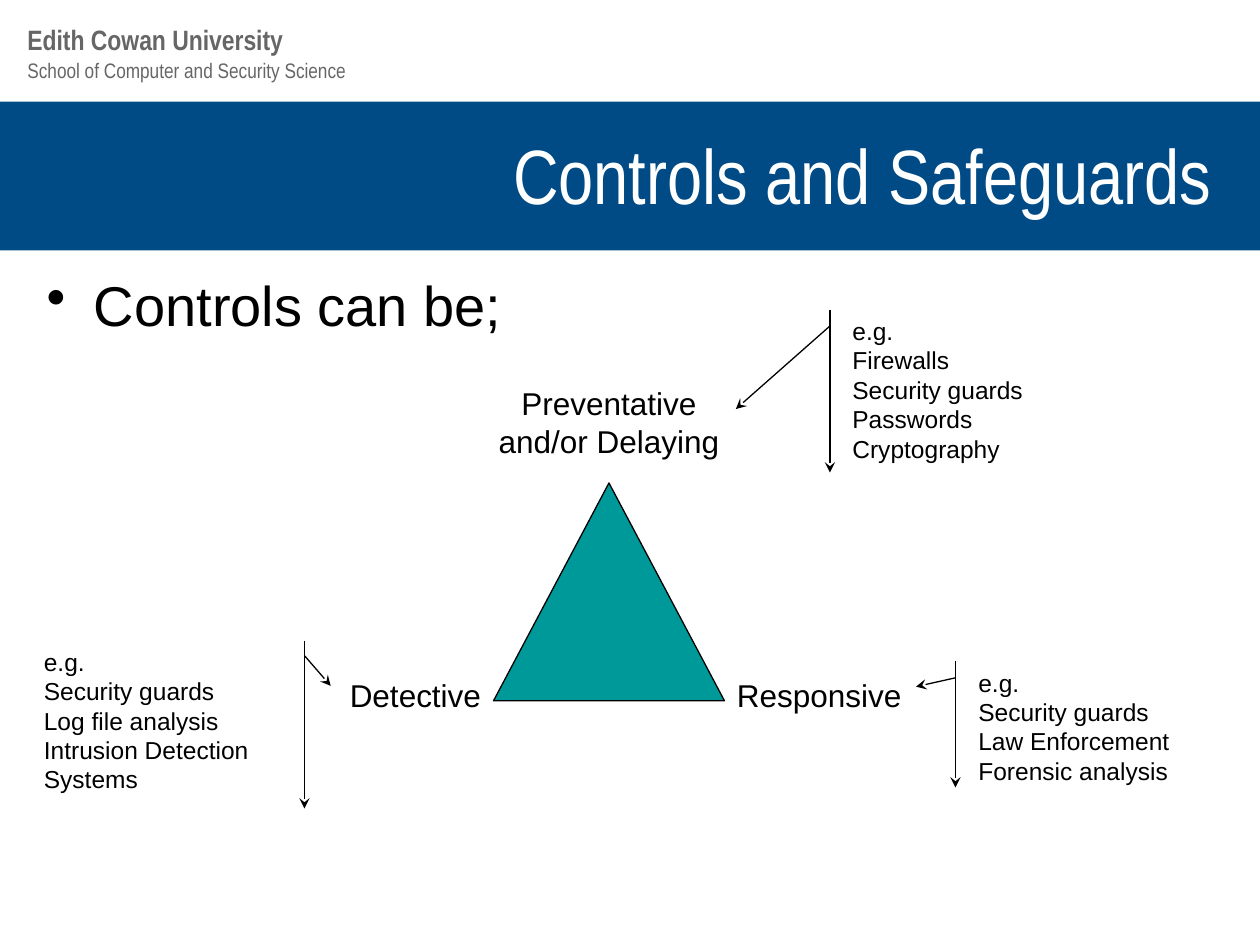
"""Build the Controls and Safeguards slide."""
from lxml.etree import SubElement
from pptx import Presentation
from pptx.dml.color import RGBColor
from pptx.enum.shapes import MSO_SHAPE
from pptx.enum.text import MSO_ANCHOR, MSO_AUTO_SIZE, PP_ALIGN
from pptx.oxml.ns import qn
from pptx.util import Pt

BLACK = RGBColor(0x00, 0x00, 0x00)
WHITE = RGBColor(0xFF, 0xFF, 0xFF)
GREY = RGBColor(0x66, 0x66, 0x66)
NAVY = RGBColor(0x00, 0x4B, 0x85)
TEAL = RGBColor(0x00, 0x99, 0x99)

TITLE = "Controls and Safeguards"
TITLE_BOX = (19.5, 59.8, 680.4, 78.5)
BAND_BOX = (0, 58.1, 720, 85)
TRIANGLE_BOX = (282, 276, 132, 124.5)

NARROW = {"name": "Arial Narrow", "color": GREY, "bold": False}
TITLE_FONT = {**NARROW, "size": Pt(44), "color": WHITE}
UNIT_FONT = {**NARROW, "size": Pt(12)}
UNIVERSITY_FONT = {**NARROW, "size": Pt(16), "bold": True}
LEAD_FONT = {"name": "Arial", "size": Pt(32), "color": BLACK}
LABEL_FONT = {**LEAD_FONT, "size": Pt(18)}
EXAMPLE_FONT = {**LEAD_FONT, "size": Pt(14)}

HEADERS = [
    ("School of Computer and Security Science", (8.6, 29.5, 424, 21.8), UNIT_FONT),
    ("Edith Cowan University", (8.6, 9.4, 424, 26.6), UNIVERSITY_FONT),
]
LEAD = "Controls can be;"
LEAD_BOX = (19.5, 151.2, 680.4, 47.5)
LABELS = [
    ("Preventative and/or Delaying", (276, 216, 144, 50.4), PP_ALIGN.CENTER),
    ("Responsive", (414, 372, 120, 50.4), PP_ALIGN.LEFT),
    ("Detective", (192, 372, 90, 50.4), PP_ALIGN.RIGHT),
]
EXAMPLES = [
    (["Firewalls", "Security guards", "Passwords", "Cryptography"],
     (480, 177, 192, 93), (0.1, -0.03, 0.61, -0.31)),
    (["Security guards", "Log file analysis", "Intrusion Detection Systems"],
     (18, 366, 150, 96), (0.09, 1.04, 0.27, 1.14)),
    (["Security guards", "Law Enforcement", "Forensic analysis"],
     (552, 378, 150, 72), (0.13, -0.04, 0.2, -0.19)),
]


def points(box):
    return [Pt(length) for length in box]


def write(shape, lines, style, align=PP_ALIGN.LEFT, anchor=MSO_ANCHOR.TOP, bullet=None):
    frame = shape.text_frame
    frame.word_wrap = True
    frame.auto_size = MSO_AUTO_SIZE.NONE
    frame.vertical_anchor = anchor
    frame.text = "\n".join(lines)
    for paragraph in frame.paragraphs:
        paragraph.alignment = align
        if bullet:
            properties = paragraph._p.get_or_add_pPr()
            properties.set("marL", str(Pt(27)))
            properties.set("indent", str(-Pt(27)))
            SubElement(properties, qn("a:buChar")).set("char", bullet)
        for run in paragraph.runs:
            for key, value in style.items():
                if key == "color":
                    run.font.color.rgb = value
                else:
                    setattr(run.font, key, value)


def add_figure(shapes, preset, box, fill=None, line=None):
    figure = shapes.add_shape(preset, *points(box))
    figure.shadow.inherit = False
    if fill is None:
        figure.fill.background()
    else:
        figure.fill.solid()
        figure.fill.fore_color.rgb = fill
    if line is None:
        figure.line.fill.background()
    else:
        figure.line.color.rgb = line
        figure.line.width = Pt(0.75)
    return figure


def add_text(shapes, text, box, style, **layout):
    write(shapes.add_textbox(*points(box)), [text], style, **layout)


def add_examples(shapes, items, box, pointer):
    callout = add_figure(shapes, MSO_SHAPE.LINE_CALLOUT_1_ACCENT_BAR, box, line=BLACK)
    for index, value in enumerate(pointer):
        callout.adjustments[index] = value
    SubElement(callout.line._get_or_add_ln(), qn("a:tailEnd")).set("type", "stealth")
    write(callout, ["e.g.", *items], EXAMPLE_FONT)


def main():
    deck = Presentation()
    deck.slide_width, deck.slide_height = Pt(720), Pt(540)
    slide = deck.slides.add_slide(deck.slide_layouts[5])
    shapes = slide.shapes

    add_figure(shapes, MSO_SHAPE.RECTANGLE, BAND_BOX, fill=NAVY)
    for text, box, style in HEADERS:
        add_text(shapes, text, box, style)

    title = shapes.title
    title.left, title.top, title.width, title.height = points(TITLE_BOX)
    write(title, [TITLE], TITLE_FONT, PP_ALIGN.RIGHT, MSO_ANCHOR.MIDDLE)
    shapes._spTree.append(title._element)

    add_text(shapes, LEAD, LEAD_BOX, LEAD_FONT, bullet="•")
    for text, box, align in LABELS:
        add_text(shapes, text, box, LABEL_FONT, align=align, anchor=MSO_ANCHOR.MIDDLE)
    add_figure(shapes, MSO_SHAPE.ISOSCELES_TRIANGLE, TRIANGLE_BOX, TEAL, BLACK)
    for items, box, pointer in EXAMPLES:
        add_examples(shapes, items, box, pointer)

    deck.save("out.pptx")


if __name__ == "__main__":
    main()
